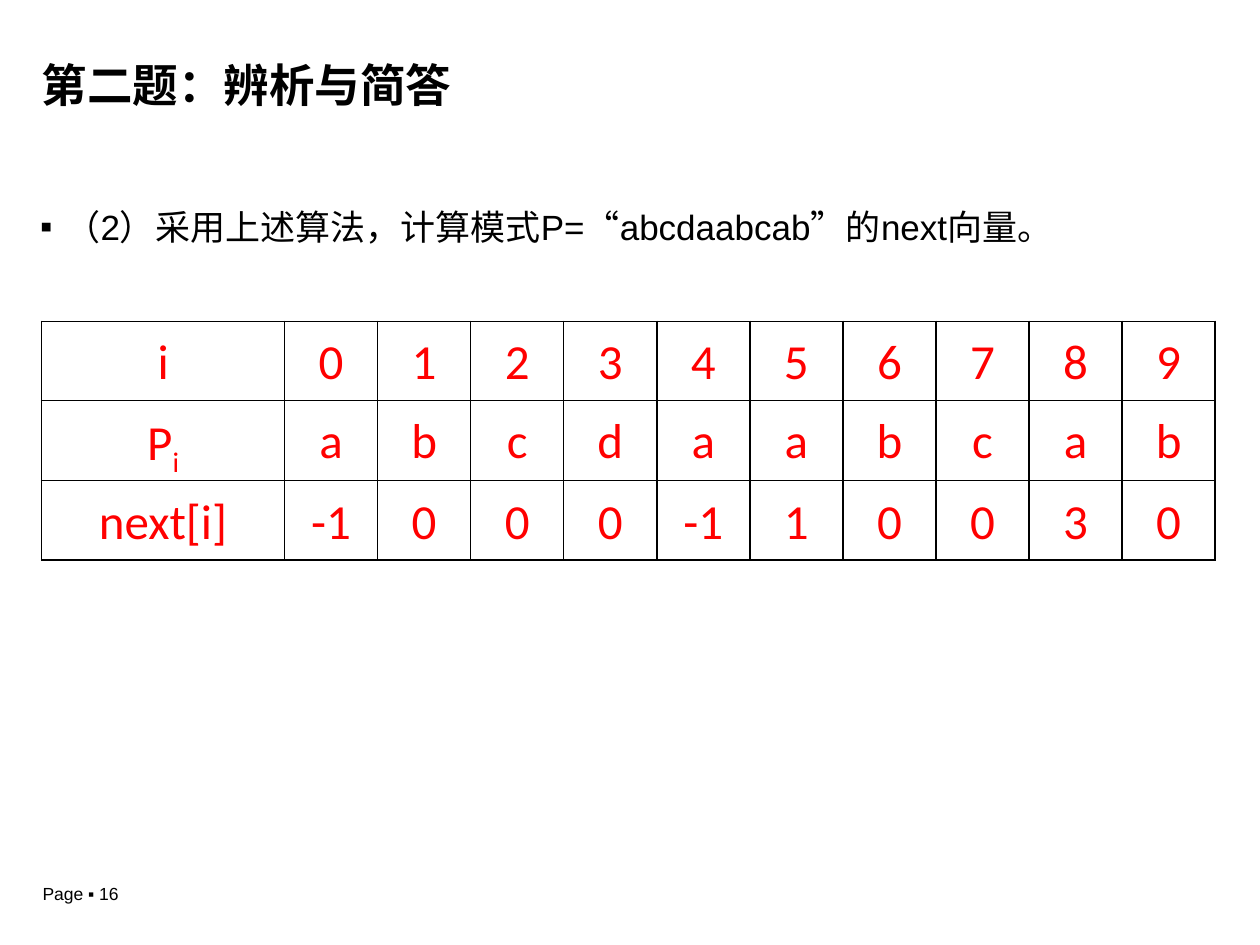
from lxml import etree
from pptx import Presentation
from pptx.dml.color import RGBColor
from pptx.enum.text import MSO_ANCHOR, PP_ALIGN
from pptx.oxml.ns import qn
from pptx.util import Pt

BLACK = RGBColor(0x00, 0x00, 0x00)
RED = RGBColor(0xFF, 0x00, 0x00)
CENTER = PP_ALIGN.CENTER
TOP = MSO_ANCHOR.TOP


def add_run(p, text, size, font, color, bold=False):
    r = p.add_run()
    r.text = text
    r.font.size = Pt(size)
    r.font.name = font
    r.font.bold = bold
    r.font.color.rgb = color
    return r


def add_text(s, box, insets, text, size, bold=False):
    tf = s.shapes.add_textbox(*[Pt(v) for v in box]).text_frame
    tf.word_wrap = True
    tf.vertical_anchor = TOP
    tf.margin_left = tf.margin_right = Pt(insets[0])
    tf.margin_top = tf.margin_bottom = Pt(insets[1])
    p = tf.paragraphs[0]
    add_run(p, text, size, "Arial", BLACK, bold)
    return p


prs = Presentation()
prs.slide_width = Pt(720)
prs.slide_height = Pt(540)
s = prs.slides.add_slide(prs.slide_layouts[6])

# Page number
add_text(s, (17.3, 501.1, 105.8, 19.4), (7.2, 3.6), "Page ▪ 16", 10)

# Title
p = add_text(s, (23.8, 32.4, 671, 51.1), (0, 3.6), "第二题：辨析与简答", 26, True)
p.line_spacing = 0.9

# Question with a square bullet
p = add_text(s, (23, 117.4, 671, 339.8), (0, 0),
             "（2）采用上述算法，计算模式P=“abcdaabcab”的next向量。", 20)
pPr = p._p.get_or_add_pPr()
pPr.set("marL", str(Pt(14.4)))
pPr.set("indent", str(-Pt(14.4)))
etree.SubElement(pPr, qn("a:buFont")).set("typeface", "Arial")
etree.SubElement(pPr, qn("a:buChar")).set("char", "▪")

# Table of the next vector
rows = [
    ["i", *range(10)],
    ["P", *"abcdaabcab"],
    ["next[i]", -1, 0, 0, 0, -1, 1, 0, 0, 3, 0],
]
LABEL_W, VALUE_W, ROW_H = 138.8, 53.2, 45.2
table = s.shapes.add_table(3, 11, Pt(23.8), Pt(183.6),
                           Pt(LABEL_W + 10 * VALUE_W), Pt(3 * ROW_H)).table
table.first_row = table.horz_banding = False
for j, col in enumerate(table.columns):
    col.width = Pt(VALUE_W if j else LABEL_W)

for i, values in enumerate(rows):
    table.rows[i].height = Pt(ROW_H)
    for j, value in enumerate(values):
        cell = table.cell(i, j)
        cell.margin_left = cell.margin_right = Pt(5)
        cell.margin_top = cell.margin_bottom = 0
        cell.vertical_anchor = TOP
        p = cell.text_frame.paragraphs[0]
        p.alignment = CENTER
        p.line_spacing = 1.2
        add_run(p, str(value), 28, "Calibri", RED)
        if value == "P":
            r = add_run(p, "i", 28, "Calibri", RED)
            r.font._element.set("baseline", "-25000")

        # Borders come before the fill in the cell properties
        tcPr = cell._tc.get_or_add_tcPr()
        for side in ("lnL", "lnR", "lnT", "lnB"):
            ln = etree.SubElement(tcPr, qn("a:" + side), w=str(Pt(1)))
            fill = etree.SubElement(ln, qn("a:solidFill"))
            etree.SubElement(fill, qn("a:srgbClr"), val=str(BLACK))
        cell.fill.background()

prs.save("out.pptx")
